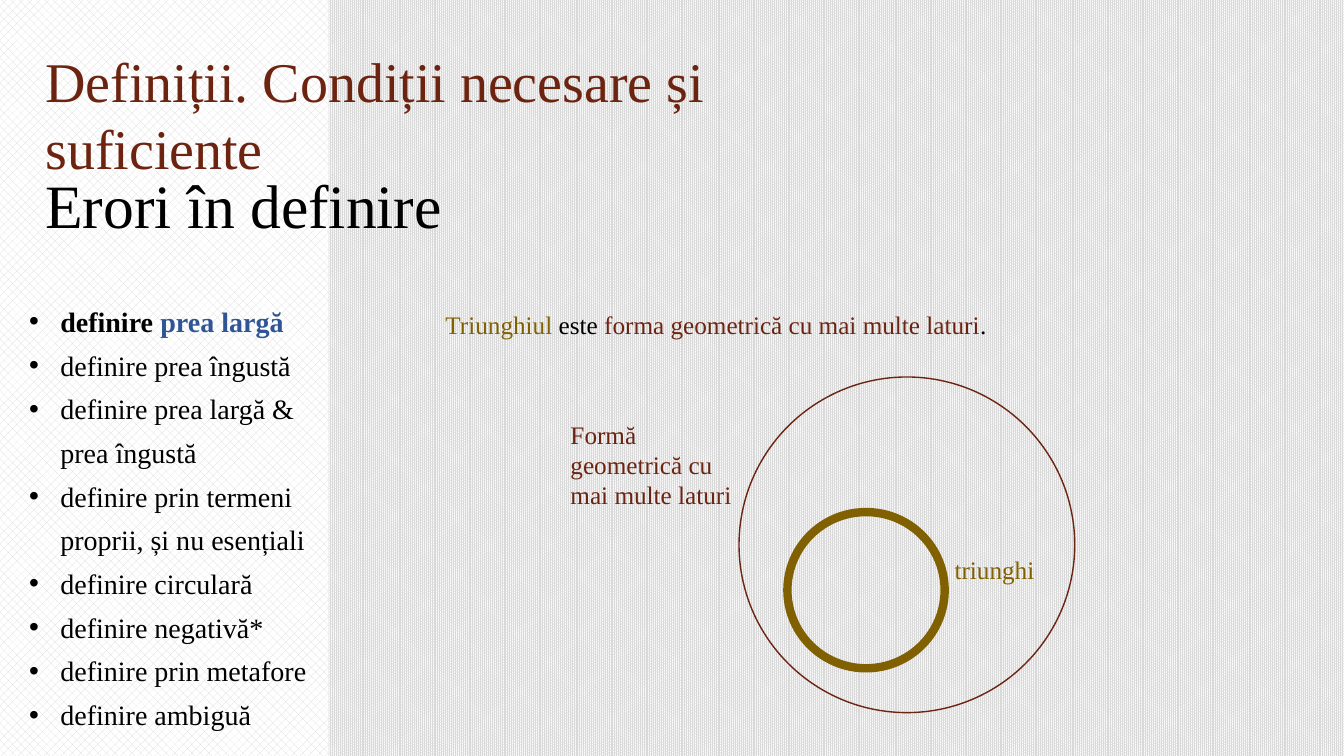
from lxml import etree
from pptx import Presentation
from pptx.dml.color import RGBColor
from pptx.enum.dml import MSO_PATTERN as PATTERN
from pptx.enum.shapes import MSO_SHAPE as SHAPE
from pptx.enum.text import MSO_ANCHOR as ANCHOR, MSO_AUTO_SIZE as AUTO, PP_ALIGN as ALIGN
from pptx.oxml.ns import qn
from pptx.util import Inches, Pt

FONT = "Times New Roman"
BLACK = RGBColor(0x00, 0x00, 0x00)
WHITE = RGBColor(0xFF, 0xFF, 0xFF)
GRAY = RGBColor(0xD9, 0xD9, 0xD9)
RUST = RGBColor(0x6C, 0x24, 0x10)
BROWN = RGBColor(0x6C, 0x24, 0x12)
OLIVE = RGBColor(0x80, 0x60, 0x00)
BLUE = RGBColor(0x2F, 0x55, 0x97)

ERRORS = [
    "definire prea îngustă",
    "definire prea largă & prea îngustă",
    "definire prin termeni proprii, și nu esențiali",
    "definire circulară",
    "definire negativă*",
    "definire prin metafore",
    "definire ambiguă",
]


def set_pattern(fill, preset):
    fill.patterned()
    fill.pattern = PATTERN.from_xml(preset)
    fill.fore_color.rgb = GRAY
    fill.back_color.rgb = WHITE


def add_runs(p, parts, size, bold=False):
    for text, color in parts:
        r = p.add_run()
        r.text = text
        r.font.name = FONT
        r.font.size = Pt(size)
        r.font.bold = bold
        r.font.color.rgb = color


def add_text(slide, box, parts, size, wrap=True, spacing=None):
    tf = slide.shapes.add_textbox(*map(Inches, box)).text_frame
    tf.word_wrap = wrap
    tf.auto_size = AUTO.SHAPE_TO_FIT_TEXT
    p = tf.paragraphs[0]
    p.line_spacing = spacing
    add_runs(p, parts, size)


def add_bullet(p):
    p.line_spacing = 1.3
    pPr = p._p.get_or_add_pPr()
    pPr.set("marL", str(Inches(0.31)))
    pPr.set("indent", str(-Inches(0.31)))
    etree.SubElement(pPr, qn("a:buFont")).set("typeface", "Arial")
    etree.SubElement(pPr, qn("a:buChar")).set("char", "•")


def add_error_list(slide, box):
    tf = slide.shapes.add_textbox(*map(Inches, box)).text_frame
    tf.word_wrap = True
    tf.auto_size = AUTO.SHAPE_TO_FIT_TEXT
    p = tf.paragraphs[0]
    add_bullet(p)
    add_runs(p, [("definire ", BLACK), ("prea largă", BLUE)], 20, bold=True)
    for error in ERRORS:
        p = tf.add_paragraph()
        add_bullet(p)
        add_runs(p, [(error, BLACK)], 20)


def add_circle(slide, box, color, width):
    sp = slide.shapes.add_shape(SHAPE.OVAL, *map(Inches, box))
    sp.shadow.inherit = False
    sp.fill.background()
    sp.line.color.rgb = color
    sp.line.width = Pt(width)


def add_side_panel(slide, box):
    sp = slide.shapes.add_shape(SHAPE.RECTANGLE, *map(Inches, box))
    sp.shadow.inherit = False
    sp.line.fill.background()
    set_pattern(sp.fill, "pct40")
    slide.shapes.title.element.addprevious(sp.element)


def set_title(slide, box, text):
    title = slide.shapes.title
    title.left, title.top, title.width, title.height = map(Inches, box)
    tf = title.text_frame
    tf.word_wrap = True
    tf.auto_size = AUTO.SHAPE_TO_FIT_TEXT
    tf.vertical_anchor = ANCHOR.TOP
    p = tf.paragraphs[0]
    p.alignment = ALIGN.LEFT
    add_runs(p, [(text, RUST)], 40)


def main():
    prs = Presentation()
    prs.slide_width, prs.slide_height = Inches(13.33), Inches(7.5)
    slide = prs.slides.add_slide(prs.slide_layouts[5])
    set_pattern(slide.background.fill, "pct90")

    add_side_panel(slide, (0, -0.02, 3.26, 7.52))
    set_title(slide, (0.35, 0.41, 8.78, 0.77), "Definiții. Condiții necesare și suficiente")
    add_text(slide, (0.35, 1.61, 4.38, 0.84), [("Erori în definire", BLACK)], 44)
    add_error_list(slide, (0.19, 2.87, 3.07, 4.45))

    definition = [
        ("Triunghiul", OLIVE),
        (" este ", BLACK),
        ("forma geometrică cu mai multe laturi", BROWN),
        (".", BLACK),
    ]
    add_text(slide, (4.32, 2.87, 6.99, 0.52), definition, 18, spacing=1.5)
    add_circle(slide, (7.33, 3.74, 3.33, 3.33), BROWN, 1)
    add_circle(slide, (7.81, 5.08, 1.56, 1.55), OLIVE, 6)
    add_text(slide, (5.56, 4.11, 1.98, 1.01), [("Formă geometrică cu mai multe laturi", BROWN)], 18)
    add_text(slide, (9.37, 5.45, 1, 0.4), [("triunghi", OLIVE)], 18, wrap=False)

    prs.save("out.pptx")


if __name__ == "__main__":
    main()
